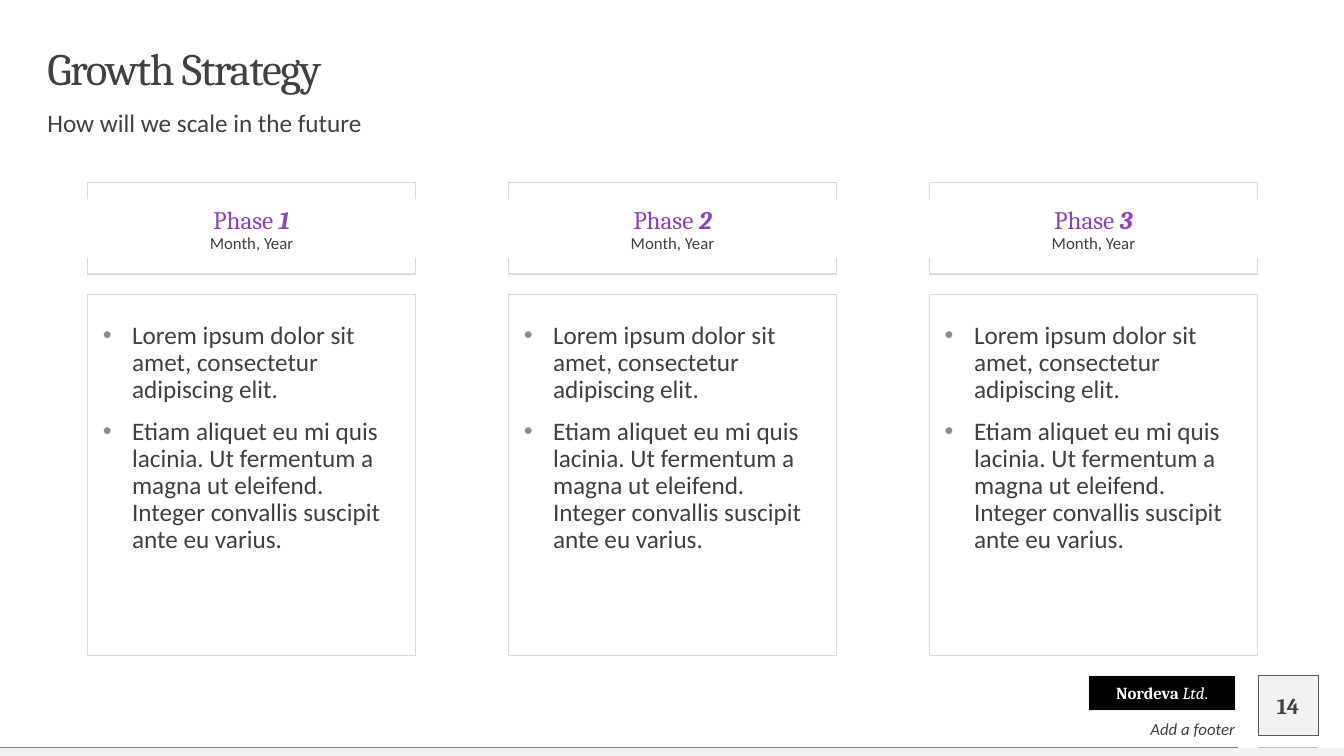
from lxml import etree
from pptx import Presentation, util as u
from pptx.dml.color import RGBColor
from pptx.enum import shapes, text
from pptx.oxml.ns import qn

INK, PURPLE, PALE, BORDER, GREY = "404040", "8E40C8", "F2F2F2", "D9D9D9", "7F7F7F"
MARGIN = 0.47
COLUMN_LEFT, COLUMN_PITCH, COLUMN_WIDTH = 0.87, 4.175, 3.25
BRACKET_TOP, BRACKET_BOTTOM, BRACKET_ARM = 1.81, 2.72, 0.16
BADGE_LEFT, BADGE_SIZE = 12.48, 0.59
FOOTER_RIGHT, FLOOR = 12.25, 7.42

POINTS = [
    "Lorem ipsum dolor sit amet, consectetur adipiscing elit.",
    "Etiam aliquet eu mi quis lacinia. Ut fermentum a magna ut eleifend. "
    "Integer convallis suscipit ante eu varius.",
]

deck = Presentation()
deck.slide_width, deck.slide_height = u.Inches(13.33), u.Inches(7.5)
slide = deck.slides.add_slide(deck.slide_layouts[6])


def add_panel(left, top, width, height, fill=None, line=None, weight=0.75,
              insets=(0, 0, 0, 0), anchor="TOP"):
    """Add a rectangle, plain or ready for text; insets run left, top, right, bottom."""
    panel = slide.shapes.add_shape(shapes.MSO_SHAPE.RECTANGLE,
                                   *map(u.Inches, (left, top, width, height)))
    panel.shadow.inherit = False
    if fill:
        panel.fill.solid()
        panel.fill.fore_color.rgb = RGBColor.from_string(fill)
    else:
        panel.fill.background()
    if line:
        panel.line.color.rgb = RGBColor.from_string(line)
        panel.line.width = u.Pt(weight)
    else:
        panel.line.fill.background()
    frame = panel.text_frame
    frame.word_wrap = True
    frame.vertical_anchor = text.MSO_ANCHOR[anchor]
    (frame.margin_left, frame.margin_top,
     frame.margin_right, frame.margin_bottom) = map(u.Inches, insets)
    return frame


def write(paragraph, words, size, font="Calibri", color=INK, align="LEFT",
          bold=False, italic=False):
    paragraph.alignment = text.PP_ALIGN[align]
    run = paragraph.add_run()
    run.text = words
    run.font.size, run.font.name = u.Pt(size), font
    run.font.bold, run.font.italic = bold, italic
    run.font.color.rgb = RGBColor.from_string(color)
    return run


# Page furniture
add_panel(0, FLOOR, 13.33, 0.08, fill=PALE)
for start, end, color, weight in [(0, 12.28, GREY, 0.5),
                                  (BADGE_LEFT, BADGE_LEFT + BADGE_SIZE, "BFBFBF", 0.5)]:
    rule = slide.shapes.add_connector(
        shapes.MSO_CONNECTOR.STRAIGHT, *map(u.Inches, (start, FLOOR - 0.01, end, FLOOR - 0.01)))
    rule.line.color.rgb = RGBColor.from_string(color)
    rule.line.width = u.Pt(weight)
    etree.SubElement(rule._element.spPr, qn("a:effectLst"))

badge = add_panel(BADGE_LEFT, 6.7, BADGE_SIZE, BADGE_SIZE, fill=PALE, line="595959",
                  weight=0.25, anchor="MIDDLE")
write(badge.paragraphs[0], "14", 16, "Cambria", align="CENTER", bold=True)

company = add_panel(FOOTER_RIGHT - 1.45, 6.7, 1.45, 0.35, fill="000000", line=PALE,
                    anchor="MIDDLE").paragraphs[0]
for words, bold, italic in [("Nordeva ", True, False), ("Ltd", False, True), (".", False, False)]:
    write(company, words, 12, "Cambria", "FFFFFF", "CENTER", bold, italic)

footer = add_panel(FOOTER_RIGHT - 4.5, 7.1, 4.5, 0.23, anchor="BOTTOM")
write(footer.paragraphs[0], "Add a footer", 12, align="RIGHT", italic=True)

# Heading
title = add_panel(MARGIN, 0.47, 12.4, 0.47, anchor="MIDDLE").paragraphs[0]
title.line_spacing = 0.9
heading = write(title, "Growth Strategy", 32, "Cambria")
heading._r.get_or_add_rPr().set("spc", "-100")

subtitle = add_panel(MARGIN, 1.1, 12.4, 0.39).paragraphs[0]
subtitle.line_spacing, subtitle.space_before = 0.9, u.Pt(10)
write(subtitle, "How will we scale in the future", 18)

# Phases
for index in range(3):
    left = COLUMN_LEFT + index * COLUMN_PITCH
    right = left + COLUMN_WIDTH

    for edge, tip in [(BRACKET_BOTTOM, BRACKET_BOTTOM - BRACKET_ARM),
                      (BRACKET_TOP, BRACKET_TOP + BRACKET_ARM)]:
        corners = [tuple(map(u.Inches, corner))
                   for corner in [(left, tip), (left, edge), (right, edge), (right, tip)]]
        outline = slide.shapes.build_freeform(*corners[0])
        outline.add_line_segments(corners[1:], close=False)
        bracket = outline.convert_to_shape()
        bracket.shadow.inherit = False
        bracket.fill.background()
        bracket.line.color.rgb = RGBColor.from_string(BORDER)
        bracket.line.width = u.Pt(1)

    phase = add_panel(left, 1.89, COLUMN_WIDTH, 0.79, insets=(0.12, 0.04, 0.12, 0.04),
                      anchor="MIDDLE").paragraphs[0]
    phase.line_spacing, phase.space_before = 0.9, u.Pt(10)
    write(phase, "Phase ", 18, "Cambria", PURPLE, "CENTER")
    write(phase, str(index + 1), 18, "Cambria", PURPLE, "CENTER", bold=True, italic=True)
    phase.add_line_break()
    write(phase, "Month, Year", 12, align="CENTER")

    details = add_panel(left, 2.92, COLUMN_WIDTH, 3.58, line=BORDER,
                        insets=(0.15, 0.28, 0.15, 0))
    for number, point in enumerate(POINTS):
        item = details.add_paragraph() if number else details.paragraphs[0]
        item.line_spacing, item.space_before = 0.9, u.Pt(10)
        write(item, point, 18)
        layout = item._p.get_or_add_pPr()
        layout.set("marL", str(u.Inches(0.29)))
        layout.set("indent", str(u.Inches(-0.29)))
        bullet_color = etree.SubElement(layout, qn("a:buClr"))
        etree.SubElement(bullet_color, qn("a:srgbClr"), val="8C8C8C")
        etree.SubElement(layout, qn("a:buFont"), typeface="Arial")
        etree.SubElement(layout, qn("a:buChar"), char="•")

deck.save("out.pptx")
